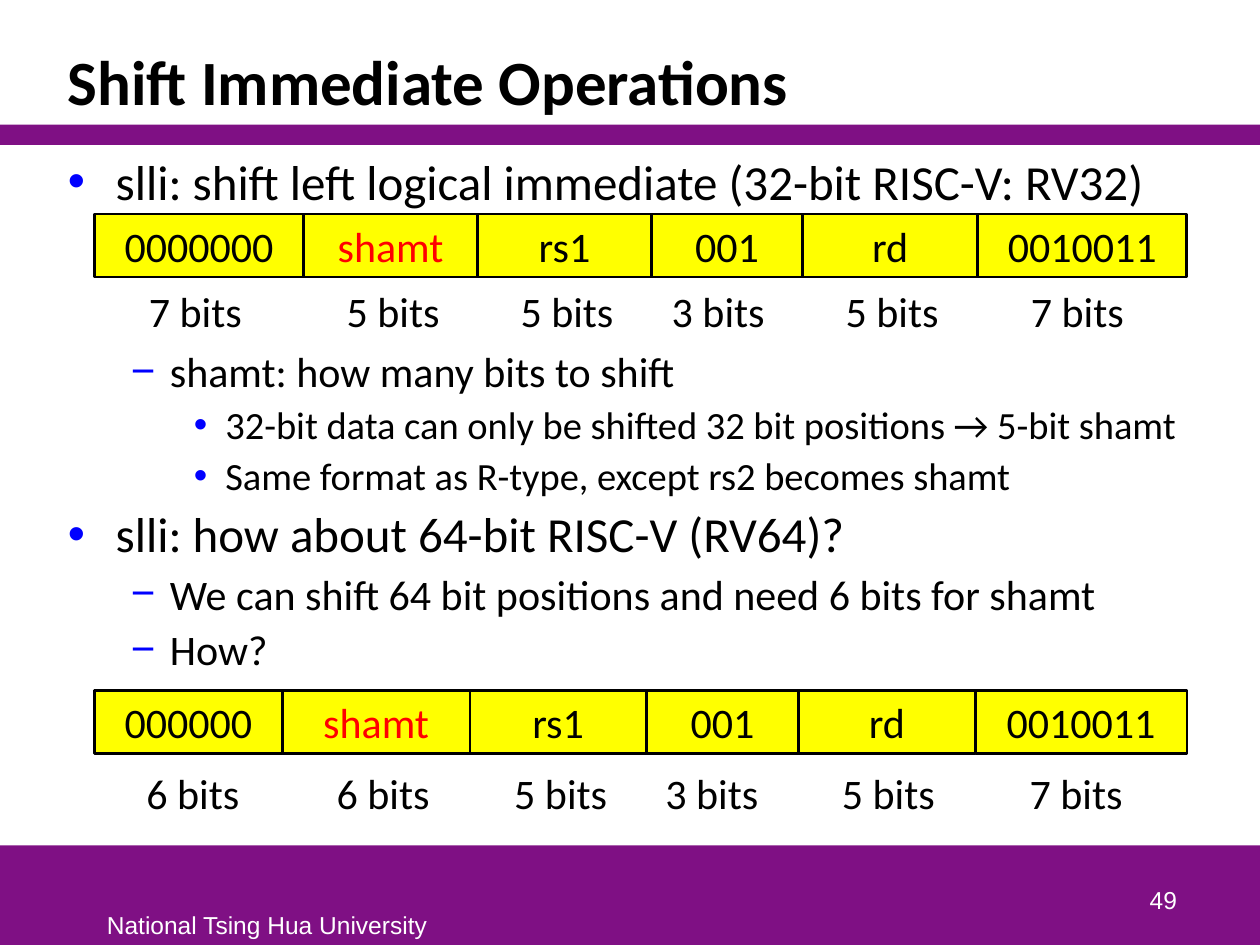
from dataclasses import dataclass
from typing import Any

from lxml import etree
from pptx import Presentation
from pptx.dml.color import RGBColor
from pptx.enum.shapes import MSO_SHAPE
from pptx.enum.text import MSO_ANCHOR, PP_ALIGN
from pptx.oxml.ns import qn
from pptx.util import Inches, Pt

RECTANGLE = MSO_SHAPE.RECTANGLE
LEFT, CENTER, RIGHT = PP_ALIGN.LEFT, PP_ALIGN.CENTER, PP_ALIGN.RIGHT
TOP, MIDDLE, BOTTOM = MSO_ANCHOR.TOP, MSO_ANCHOR.MIDDLE, MSO_ANCHOR.BOTTOM

COLORS = {
    "purple": "7F1084",
    "yellow": "FFFF00",
    "black": "000000",
    "white": "FFFFFF",
    "red": "FF0000",
    "blue": "0000FF",
}
ROW_LEFT = 0.75
CELL_HEIGHT = 0.5
LABEL_WIDTH = 1.11


@dataclass
class Level:
    size: int
    margin: float
    hanging: float
    bullet: str


@dataclass
class Bullet:
    level: int
    text: str
    space_before: float = 3


@dataclass
class Field:
    text: str
    width: float
    bits: int
    label_center: float
    color: str = "black"


@dataclass
class InstructionFormat:
    top: float
    label_top: float
    fields: list[Field]


LEVELS = [
    Level(28, 0.38, 0.38, "•"),
    Level(24, 0.81, 0.31, "−"),
    Level(22, 1.25, 0.25, "•"),
]

# The first sub-item leaves room for the instruction format above it.
BULLETS = [
    Bullet(0, "slli: shift left logical immediate (32-bit RISC-V: RV32)", 0),
    Bullet(1, "shamt: how many bits to shift", 77.4),
    Bullet(2, "32-bit data can only be shifted 32 bit positions → 5-bit shamt"),
    Bullet(2, "Same format as R-type, except rs2 becomes shamt"),
    Bullet(0, "slli: how about 64-bit RISC-V (RV64)?"),
    Bullet(1, "We can shift 64 bit positions and need 6 bits for shamt"),
    Bullet(1, "How?"),
]

FORMATS = [
    InstructionFormat(1.7, 2.22, [
        Field("0000000", 1.66, 7, 1.55),
        Field("shamt", 1.38, 5, 3.12, "red"),
        Field("rs1", 1.38, 5, 4.5),
        Field("001", 1.2, 3, 5.7),
        Field("rd", 1.39, 5, 7.08),
        Field("0010011", 1.66, 7, 8.55),
    ]),
    InstructionFormat(5.48, 6.04, [
        Field("000000", 1.49, 6, 1.53),
        Field("shamt", 1.49, 6, 3.04, "red"),
        Field("rs1", 1.4, 5, 4.45),
        Field("001", 1.21, 3, 5.65),
        Field("rd", 1.4, 5, 7.05),
        Field("0010011", 1.68, 7, 8.54),
    ]),
]


def rgb(color: str) -> RGBColor:
    return RGBColor.from_string(COLORS[color])


def set_font(paragraph: Any, size: int, color: str = "black",
             name: str = "Calibri", bold: bool = False) -> None:
    font = paragraph.font
    font.size, font.name, font.bold = Pt(size), name, bold
    font.color.rgb = rgb(color)


def add_rectangle(slide: Any, left: float, top: float, width: float,
                  height: float, fill: str) -> Any:
    shape = slide.shapes.add_shape(
        RECTANGLE, Inches(left), Inches(top), Inches(width), Inches(height))
    shape.shadow.inherit = False
    shape.fill.solid()
    shape.fill.fore_color.rgb = rgb(fill)
    shape.line.fill.background()
    return shape


def add_text_box(slide: Any, left: float, top: float, width: float, height: float,
                 text: str, anchor: Any = TOP, align: Any = LEFT,
                 wrap: bool = True) -> Any:
    """Add a text box with one paragraph and return its text frame."""
    box = slide.shapes.add_textbox(
        Inches(left), Inches(top), Inches(width), Inches(height))
    frame = box.text_frame
    frame.word_wrap = wrap
    frame.vertical_anchor = anchor
    frame.text = text
    frame.paragraphs[0].alignment = align
    return frame


def add_bullet(paragraph: Any, bullet: Bullet) -> None:
    level = LEVELS[bullet.level]
    paragraph.text = bullet.text
    paragraph.level = bullet.level
    paragraph.space_before = Pt(bullet.space_before)
    properties = paragraph._p.get_or_add_pPr()
    properties.set("marL", str(Inches(level.margin)))
    properties.set("indent", str(-Inches(level.hanging)))
    bullet_color = etree.SubElement(properties, qn("a:buClr"))
    etree.SubElement(bullet_color, qn("a:srgbClr")).set("val", COLORS["blue"])
    etree.SubElement(properties, qn("a:buFont")).set("typeface", "Arial")
    etree.SubElement(properties, qn("a:buChar")).set("char", level.bullet)
    set_font(paragraph, level.size)


def add_instruction_format(slide: Any, instruction: InstructionFormat) -> None:
    """Draw adjoining field cells with their bit counts below."""
    left = ROW_LEFT
    for field in instruction.fields:
        cell = add_rectangle(
            slide, left, instruction.top, field.width, CELL_HEIGHT, "yellow")
        cell.line.color.rgb = rgb("black")
        cell.line.width = Pt(1.5)
        frame = cell.text_frame
        frame.margin_left = frame.margin_right = Inches(0.04)
        frame.vertical_anchor = MIDDLE
        frame.text = field.text
        frame.paragraphs[0].alignment = CENTER
        set_font(frame.paragraphs[0], 24, field.color)
        left += field.width

        label = add_text_box(
            slide, field.label_center - LABEL_WIDTH / 2, instruction.label_top,
            LABEL_WIDTH, CELL_HEIGHT, f"{field.bits} bits", align=CENTER, wrap=False)
        set_font(label.paragraphs[0], 24)


def main() -> None:
    presentation = Presentation()
    presentation.slide_width, presentation.slide_height = Inches(10), Inches(7.5)
    slide = presentation.slides.add_slide(presentation.slide_layouts[6])

    add_rectangle(slide, 0, 6.71, 10, 0.79, "purple")
    add_rectangle(slide, 0, 0.99, 10, 0.16, "purple")
    footer = add_text_box(
        slide, 0.75, 7.17, 2.76, 0.33, "National Tsing Hua University", wrap=False)
    set_font(footer.paragraphs[0], 14, "white", "Arial")

    title = add_text_box(
        slide, 0.44, 0.25, 9.12, 0.74, "Shift Immediate Operations", BOTTOM)
    title.paragraphs[0].line_spacing = 0.85
    set_font(title.paragraphs[0], 36, bold=True)

    body = add_text_box(slide, 0.44, 1.15, 9.12, 5.53, "")
    for index, bullet in enumerate(BULLETS):
        paragraph = body.add_paragraph() if index else body.paragraphs[0]
        add_bullet(paragraph, bullet)

    number = add_text_box(slide, 7.36, 6.81, 2.08, 0.5, "49", BOTTOM, RIGHT)
    set_font(number.paragraphs[0], 14, "white", "Arial")

    for instruction in FORMATS:
        add_instruction_format(slide, instruction)

    presentation.save("out.pptx")


if __name__ == "__main__":
    main()
